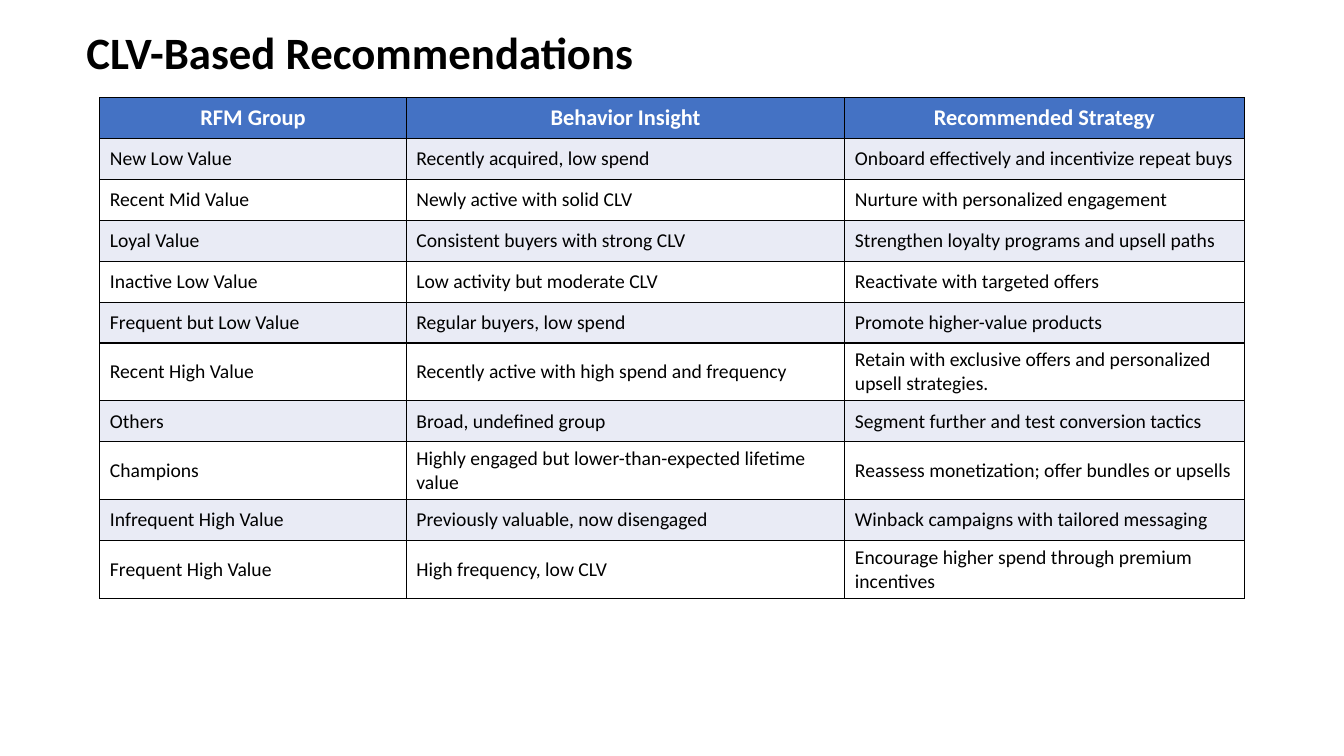
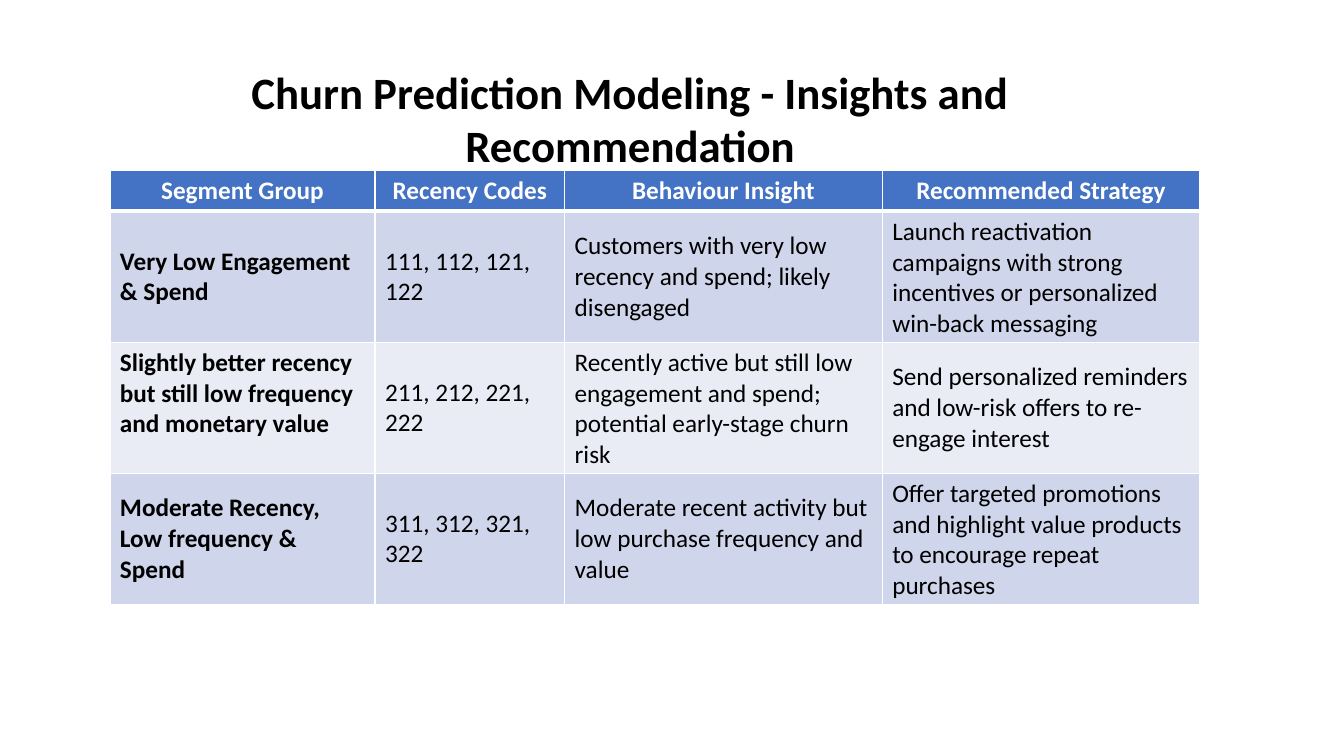
from lxml.etree import SubElement
from pptx import Presentation
from pptx.dml.color import RGBColor
from pptx.enum.text import MSO_ANCHOR, MSO_AUTO_SIZE, PP_ALIGN
from pptx.oxml.ns import qn
from pptx.util import Inches, Pt

FONT = "Calibri"
BLACK = RGBColor(0x00, 0x00, 0x00)
WHITE = RGBColor(0xFF, 0xFF, 0xFF)
BLUE = RGBColor(0x44, 0x72, 0xC4)
PALE = RGBColor(0xE9, 0xEB, 0xF5)
LAVENDER = RGBColor(0xCF, 0xD5, 0xEA)
HEADER_HEIGHT = Pt(29.2)

CLV_ROWS = [
    ("RFM Group", "Behavior Insight", "Recommended Strategy"),
    ("New Low Value", "Recently acquired, low spend",
     "Onboard effectively and incentivize repeat buys"),
    ("Recent Mid Value", "Newly active with solid CLV",
     "Nurture with personalized engagement"),
    ("Loyal Value", "Consistent buyers with strong CLV",
     "Strengthen loyalty programs and upsell paths"),
    ("Inactive Low Value", "Low activity but moderate CLV",
     "Reactivate with targeted offers"),
    ("Frequent but Low Value", "Regular buyers, low spend",
     "Promote higher-value products"),
    ("Recent High Value", "Recently active with high spend and frequency",
     "Retain with exclusive offers and personalized upsell strategies."),
    ("Others", "Broad, undefined group",
     "Segment further and test conversion tactics"),
    ("Champions", "Highly engaged but lower-than-expected lifetime value",
     "Reassess monetization; offer bundles or upsells"),
    ("Infrequent High Value", "Previously valuable, now disengaged",
     "Winback campaigns with tailored messaging"),
    ("Frequent High Value", "High frequency, low CLV",
     "Encourage higher spend through premium incentives"),
]

CHURN_ROWS = [
    ("Segment Group", "Recency Codes", "Behaviour Insight", "Recommended Strategy"),
    ("Very Low Engagement & Spend", "111, 112, 121, 122",
     "Customers with very low recency and spend; likely disengaged",
     "Launch reactivation campaigns with strong incentives or personalized "
     "win-back messaging"),
    ("Slightly better recency but still low frequency and monetary value",
     "211, 212, 221, 222",
     "Recently active but still low engagement and spend; potential "
     "early-stage churn risk",
     "Send personalized reminders and low-risk offers to re-engage interest"),
    ("Moderate Recency, Low frequency & Spend", "311, 312, 321, 322",
     "Moderate recent activity but low purchase frequency and value",
     "Offer targeted promotions and highlight value products to encourage "
     "repeat purchases"),
]


def write(p, text, size, color, bold, align):
    p.alignment = align
    r = p.add_run()
    r.text = text
    r.font.name = FONT
    r.font.size = Pt(size)
    r.font.bold = bold
    r.font.color.rgb = color


def add_title(s, text, left, top, width):
    box = s.shapes.add_textbox(Inches(left), Inches(top), Inches(width), Inches(0.64))
    tf = box.text_frame
    tf.word_wrap = True
    tf.auto_size = MSO_AUTO_SIZE.SHAPE_TO_FIT_TEXT
    write(tf.paragraphs[0], text, 32, BLACK, True, PP_ALIGN.CENTER)


def set_borders(cell, color, top, bottom):
    """Line the four sides; top and bottom are widths in points."""
    tc_pr = cell._tc.get_or_add_tcPr()
    for side, width in (("L", 1), ("R", 1), ("T", top), ("B", bottom)):
        ln = SubElement(tc_pr, qn(f"a:ln{side}"), w=str(Pt(width)))
        fill = SubElement(ln, qn("a:solidFill"))
        SubElement(fill, qn("a:srgbClr"), val=str(color))


def add_grid(s, rows, left, top, col_widths, row_height, header_size, body_size,
             bands, line_color, header_rule=1, bold_labels=False):
    """Add a table with a blue header and body rows that alternate the two bands."""
    height = HEADER_HEIGHT + row_height * (len(rows) - 1)
    table = s.shapes.add_table(len(rows), len(col_widths), Inches(left), Inches(top),
                               Inches(sum(col_widths)), height).table
    for column, width in zip(table.columns, col_widths):
        column.width = Inches(width)
    for i, texts in enumerate(rows):
        header = i == 0
        table.rows[i].height = HEADER_HEIGHT if header else row_height
        for j, text in enumerate(texts):
            cell = table.cell(i, j)
            set_borders(cell, line_color, header_rule if i == 1 else 1,
                        header_rule if header else 1)
            cell.fill.solid()
            cell.fill.fore_color.rgb = BLUE if header else bands[(i - 1) % 2]
            cell.vertical_anchor = MSO_ANCHOR.MIDDLE
            write(cell.text_frame.paragraphs[0], text,
                  header_size if header else body_size,
                  WHITE if header else BLACK,
                  header or (bold_labels and j == 0),
                  PP_ALIGN.CENTER if header else PP_ALIGN.LEFT)
    return table


def main():
    prs = Presentation()
    prs.slide_width, prs.slide_height = Inches(13.33), Inches(7.5)
    blank = prs.slide_layouts[6]

    s = prs.slides.add_slide(blank)
    add_grid(s, CLV_ROWS, 0.99, 0.97, (3.04, 4.35, 3.96), HEADER_HEIGHT, 16, 14,
             (PALE, WHITE), BLACK)
    add_title(s, "CLV-Based Recommendations", 0.63, 0.2, 5.88)

    s = prs.slides.add_slide(blank)
    table = add_grid(s, CHURN_ROWS, 1.09, 1.69, (2.63, 1.88, 3.15, 3.15), Inches(1.3),
                     18, 18, (LAVENDER, PALE), WHITE, header_rule=3, bold_labels=True)
    table.cell(2, 0).vertical_anchor = MSO_ANCHOR.TOP
    add_title(s, "Churn Prediction Modeling - Insights and Recommendation",
              0.79, 0.59, 10.92)

    prs.save("out.pptx")


if __name__ == "__main__":
    main()
